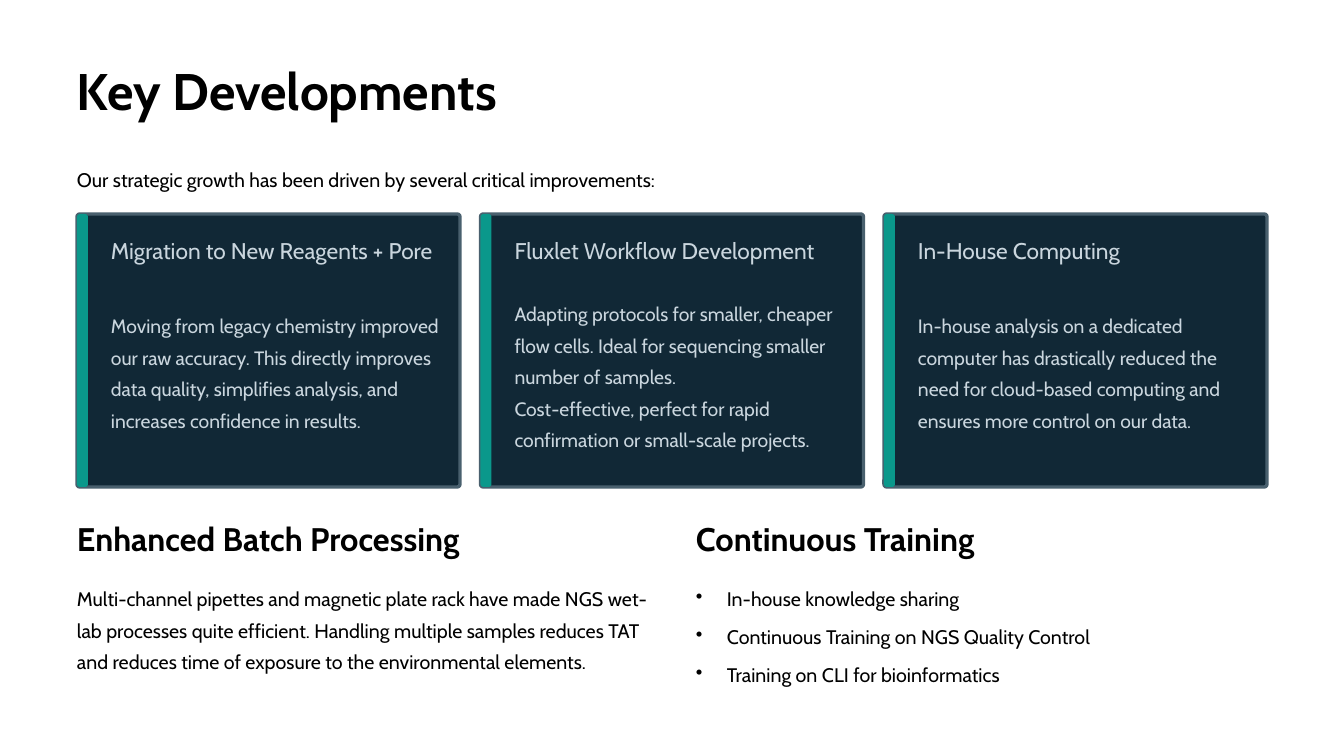
from lxml.etree import SubElement
from pptx import Presentation
from pptx.dml.color import RGBColor
from pptx.enum.shapes import MSO_SHAPE
from pptx.oxml.ns import qn
from pptx.util import Pt

# Content
TITLE = "Key Developments"
INTRO = "Our strategic growth has been driven by several critical improvements:"
# heading, paragraphs, body top, body width
CARDS = [
    ("Migration to New Reagents + Pore",
     ["Moving from legacy chemistry improved our raw accuracy. This directly "
      "improves data quality, simplifies analysis, and increases confidence "
      "in results."], 306, 338),
    ("Fluxlet Workflow Development",
     ["Adapting protocols for smaller, cheaper flow cells. Ideal for "
      "sequencing smaller number of samples.",
      "Cost-effective, perfect for rapid confirmation or small-scale "
      "projects."], 294, 328),
    ("In-House Computing",
     ["In-house analysis on a dedicated computer has drastically reduced the "
      "need for cloud-based computing and ensures more control on our data."],
     306, 328),
]
# heading, paragraphs, bulleted
PANELS = [
    ("Enhanced Batch Processing",
     ["Multi-channel pipettes and magnetic plate rack have made NGS wet-lab "
      "processes quite efficient. Handling multiple samples reduces TAT and "
      "reduces time of exposure to the environmental elements."], False),
    ("Continuous Training",
     ["In-house knowledge sharing",
      "Continuous Training on NGS Quality Control",
      "Training on CLI for bioinformatics"], True),
]

# Formats
BLACK = RGBColor(0x00, 0x00, 0x00)
NAVY = RGBColor(0x11, 0x28, 0x36)
SLATE = RGBColor(0x49, 0x60, 0x6E)
TEAL = RGBColor(0x0A, 0x98, 0x8B)
PALE = RGBColor(0xCA, 0xD6, 0xDE)
STYLES = {  # size, bold, color, line height
    "title": (36.7, True, BLACK, 41.2),
    "panel": (23.3, True, BLACK, 20.4),
    "plain": (14, False, BLACK, 22.5),
    "card": (16.2, False, PALE, 20.4),
    "body": (13.8, False, PALE, 22.5),
}

# Layout in px
SCALE = 914400 / 100.8
WIDE, HIGH = 1344, 756
LEFT, SPAN = 77, 1190
CARD_TOP, CARD_W, CARD_H = 214, 383, 273
BAR_W, INSET = 11, 34
PANEL_W, HANG = 571, 31
STEP = (SPAN - CARD_W) / (len(CARDS) - 1)


def px(num):
    return round(num * SCALE)


def add_text(box, lines, style, bullet=False):
    size, bold, color, line = STYLES[style]
    frame = slide.shapes.add_textbox(*map(px, box)).text_frame
    margins = dict.fromkeys(
        ("margin_left", "margin_top", "margin_right", "margin_bottom"), 0)
    for name, value in {**margins, "word_wrap": True}.items():
        setattr(frame, name, value)
    look = {"name": "Cabin", "size": Pt(size), "bold": bold}
    for i, text in enumerate(lines):
        para = frame.add_paragraph() if i else frame.paragraphs[0]
        para.line_spacing = Pt(line)
        if bullet:
            if i:
                para.space_before = Pt(4.6)
            props = para._p.get_or_add_pPr()
            props.set("marL", str(px(HANG)))
            props.set("indent", str(-px(HANG)))
            SubElement(props, qn("a:buChar")).set("char", "•")
        run = para.add_run()
        run.text = text
        for name, value in look.items():
            setattr(run.font, name, value)
        run.font.color.rgb = color


def add_block(box, round_by, fill, edge=None):
    shape = slide.shapes.add_shape(MSO_SHAPE.ROUNDED_RECTANGLE, *map(px, box))
    shape.shadow.inherit = False
    shape.adjustments[0] = round_by
    shape.fill.solid()
    shape.fill.fore_color.rgb = fill
    if edge is None:
        shape.line.fill.background()
    else:
        shape.line.color.rgb = edge
        shape.line.width = Pt(2.4)


deck = Presentation()
deck.slide_width, deck.slide_height = px(WIDE), px(HIGH)
slide = deck.slides.add_slide(deck.slide_layouts[6])

# Title and intro
add_text((LEFT, 63, 1002, 58), [TITLE], "title")
add_text((LEFT, 160, SPAN, 31), [INTRO], "plain")

# Cards
for i, (head, lines, top, width) in enumerate(CARDS):
    x = LEFT + i * STEP
    add_block((x, CARD_TOP, CARD_W, CARD_H), 0.01, NAVY, SLATE)
    add_block((x, CARD_TOP, BAR_W, CARD_H), 0.27, TEAL)
    add_text((x + INSET, 236, 328, 58), [head], "card")
    add_text((x + INSET, top, width, 158), lines, "body")

# Lower panels
for i, (head, lines, bullet) in enumerate(PANELS):
    x = LEFT + i * (SPAN - PANEL_W)
    add_text((x, 529, PANEL_W, 29), [head], "panel")
    add_text((x, 579, PANEL_W, 95), lines, "plain", bullet)

deck.save("out.pptx")
